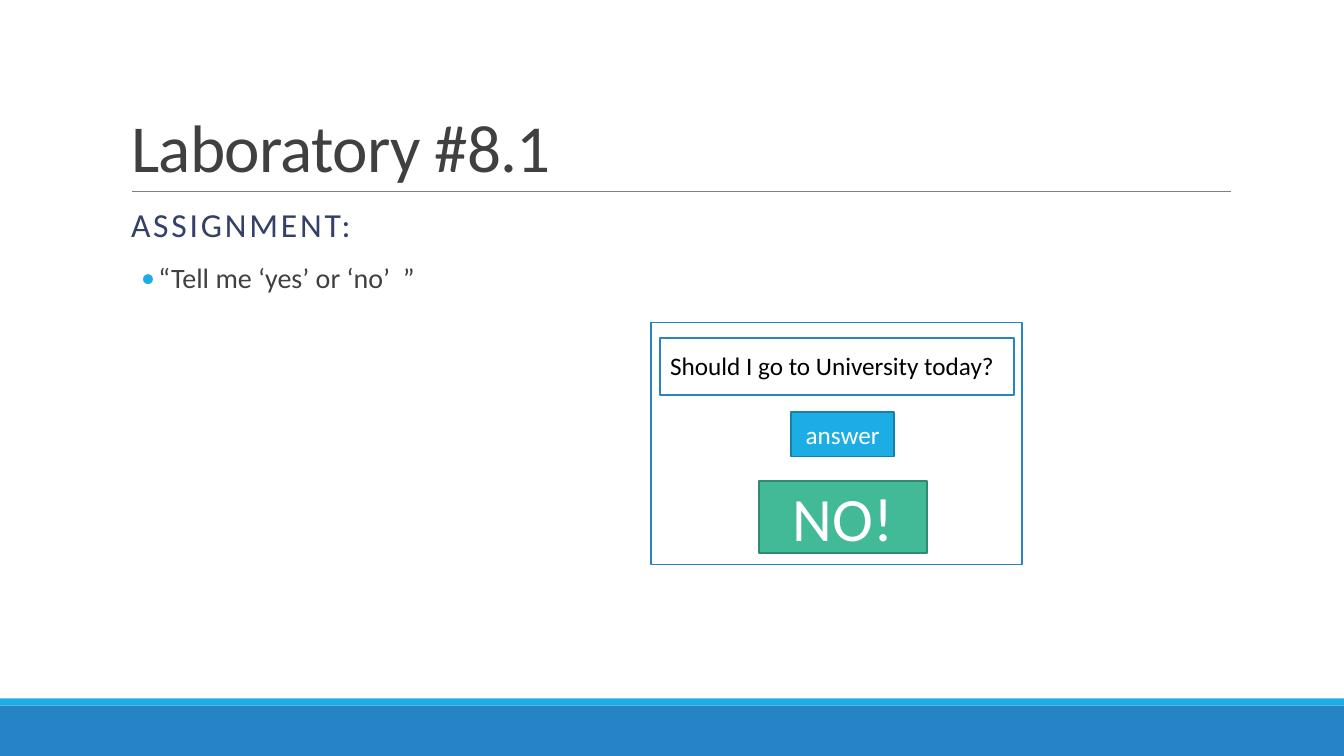
from collections import namedtuple
from lxml.etree import SubElement as add_element
from pptx import Presentation
from pptx.dml.color import RGBColor
from pptx.enum.shapes import MSO_CONNECTOR as Connector, MSO_SHAPE as Shape
from pptx.enum.text import MSO_ANCHOR as Anchor, MSO_AUTO_SIZE as AutoSize, PP_ALIGN as Align
from pptx.oxml.ns import qn
from pptx.util import Inches, Pt

Box = namedtuple("Box", "left top width height")
CELL = 0.1  # inches per column and row of the grid
SLIDE = Box(0, 0, 133.33, 75)
FONT = "Calibri"
BLUE, CYAN, GREEN = "2683C6", "1CADE4", "42BA97"
WHITE, BLACK, DARK, NAVY, GRAY = "FFFFFF", "000000", "404040", "344068", "808080"


def cells(count):
    return Inches(count * CELL)


def color(hex_text):
    return RGBColor.from_string(hex_text)


def inside(box, left, top, width, height):
    """Box given in cells from the corner of another box."""
    return Box(box.left + left, box.top + top, width, height)


def place(item, box):
    for name, value in box._asdict().items():
        setattr(item, name, cells(value))


def apply(target, formats):
    for name, value in formats.items():
        setattr(target, name, value)


def write(para, text, size, ink, spacing=0, **formats):
    apply(para, formats)
    span = para.add_run()
    span.text = text
    apply(span.font, {"name": FONT, "size": Pt(size)})
    span.font.color.rgb = color(ink)
    if spacing:
        span.font._element.set("spc", str(int(spacing * 100)))


def rectangle(page, box, fill, edge=None):
    shape = page.shapes.add_shape(Shape.RECTANGLE, *map(cells, box))
    shape.shadow.inherit = False
    shape.fill.solid()
    shape.fill.fore_color.rgb = color(fill)
    if edge:
        shape.line.color.rgb = color(edge)
        shape.line.width = Pt(1.25)
    else:
        shape.line.fill.background()
    return shape


def label(page, box, text, size, fill, edge):
    frame = rectangle(page, box, fill, edge).text_frame
    frame.vertical_anchor = Anchor.MIDDLE
    write(frame.paragraphs[0], text, size, WHITE, alignment=Align.CENTER)


def indent(para, margin, first, bullet=None):
    properties = para._p.get_or_add_pPr()
    properties.set("marL", str(cells(margin)))
    properties.set("indent", str(cells(first)))
    if bullet:
        tint = add_element(properties, qn("a:buClr"))
        add_element(tint, qn("a:srgbClr"), val=CYAN)
        add_element(properties, qn("a:buFont"), typeface=FONT)
        add_element(properties, qn("a:buChar"), char=bullet)
    else:
        add_element(properties, qn("a:buNone"))


def footer_bars(page, box):
    rectangle(page, inside(box, 0, 0.7, box.width, box.height - 0.7), BLUE)
    rectangle(page, inside(box, 0, 0, box.width, 0.7), CYAN)


def heading(page, box):
    title = page.shapes.title
    place(title, box)
    apply(title.text_frame, {"vertical_anchor": Anchor.BOTTOM, "auto_size": AutoSize.NONE})
    write(title.text_frame.paragraphs[0], "Laboratory #8.1", 48, DARK, -0.5,
          alignment=Align.LEFT, line_spacing=0.85)
    # Rule under the title
    start, bottom = box.left + 1.1, box.top + box.height
    rule = page.shapes.add_connector(Connector.STRAIGHT, *map(
        cells, (start, bottom, start + 109, bottom)))
    rule.line.color.rgb = color(GRAY)
    rule.line.width = Pt(0.5)
    add_element(rule._element.spPr, qn("a:effectLst"))


def assignment(page, box):
    body = page.placeholders[1]
    place(body, box)
    frame = body.text_frame
    apply(frame, {"margin_left": 0, "margin_right": 0, "auto_size": AutoSize.NONE,
                  "vertical_anchor": Anchor.TOP})
    gaps = {"line_spacing": 0.9, "space_before": Pt(12), "space_after": Pt(2)}
    intro, task = frame.paragraphs[0], frame.add_paragraph()
    write(intro, "ASSIGNMENT:", 24, NAVY, 2, **gaps)
    indent(intro, 1, 0)
    write(task, "“Tell me ‘yes’ or ‘no’  ”", 20, DARK, **gaps)
    indent(task, 3.7, -1.7, "•")


def answer_window(page, box):
    rectangle(page, box, WHITE, BLUE)
    # Question field
    field = inside(box, 0.9, 1.5, 35.1, 5.7)
    rectangle(page, field, WHITE, BLUE)
    question = page.shapes.add_textbox(*map(cells, inside(field, 0, 0.8, 34.5, 4)))
    question.text_frame.word_wrap = False
    write(question.text_frame.paragraphs[0], "Should I go to University today?", 18, BLACK,
          alignment=Align.LEFT)
    # Button and reply
    label(page, inside(box, 13.9, 8.9, 10.2, 4.4), "answer", 18, CYAN, "1580A9")
    label(page, inside(box, 10.7, 15.7, 16.7, 7.2), "NO!", 44, GREEN, "318A70")


deck = Presentation()
deck.slide_width, deck.slide_height = cells(SLIDE.width), cells(SLIDE.height)
page = deck.slides.add_slide(deck.slide_layouts[1])
footer_bars(page, inside(SLIDE, 0, 69.3, SLIDE.width, 5.7))
heading(page, inside(SLIDE, 12, 3.1, 110, 15.9))
assignment(page, inside(SLIDE, 12, 20.2, 110, 44))
answer_window(page, inside(SLIDE, 64.6, 32, 36.8, 24))
deck.save("out.pptx")
